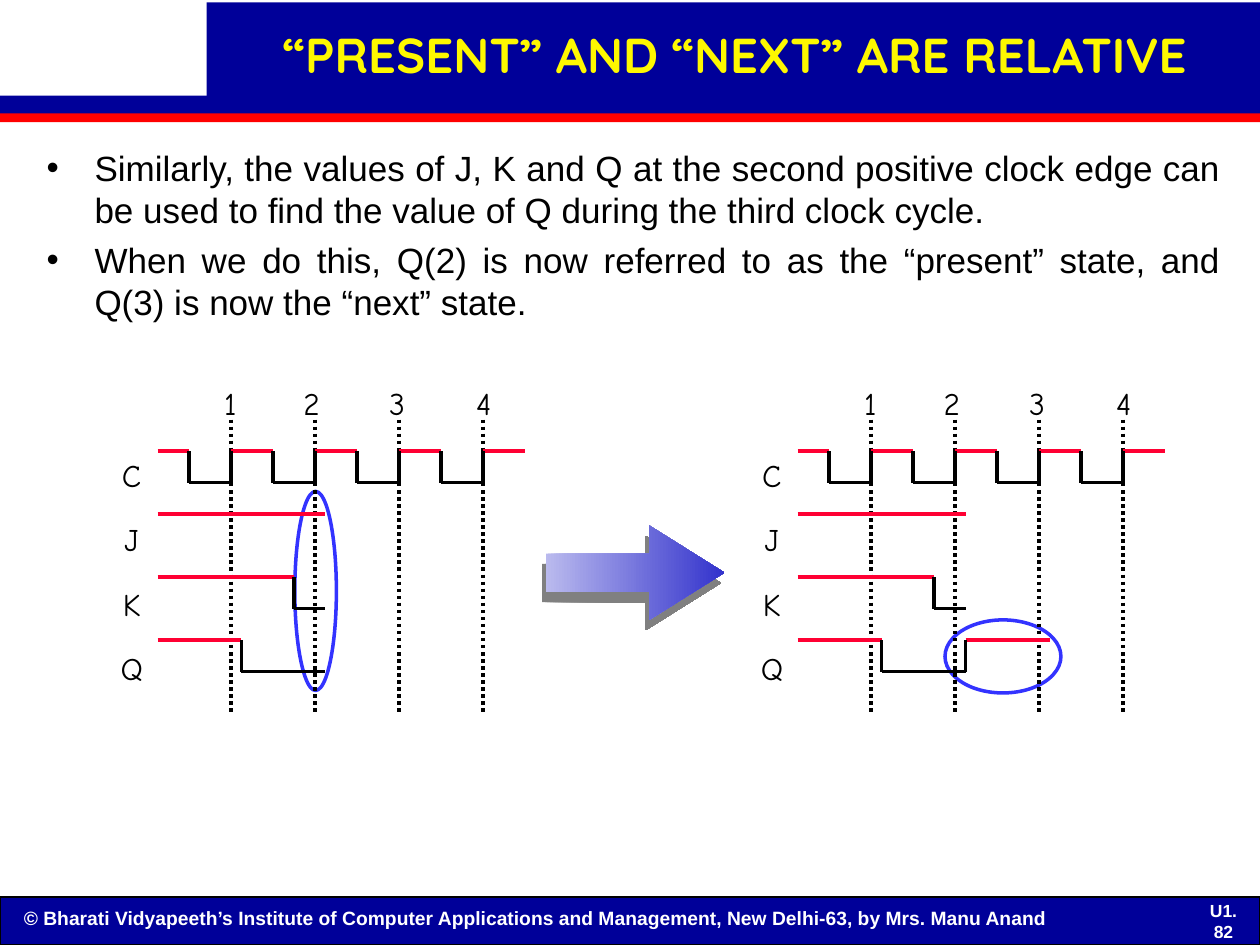
from dataclasses import dataclass

from lxml import etree
from pptx import Presentation
from pptx import util as u
from pptx.dml.color import RGBColor
from pptx.enum import dml, shapes, text
from pptx.oxml.ns import qn


@dataclass(frozen=True)
class Theme:
    navy: str = "000099"
    red: str = "FF0000"
    yellow: str = "FEF800"
    white: str = "FFFFFF"
    black: str = "000000"
    high: str = "FF0033"
    ring: str = "3333FF"
    arrow: tuple = ("BABAEE", "3333CC")
    shadow: str = "808080"
    title_font: str = "Quicksand"
    body_font: str = "Arial"
    label_font: str = "Comic Neue"
    title_size: int = 28
    body_size: int = 20
    label_size: int = 18
    footer_size: int = 11
    page_size: int = 10
    stroke: int = 2


THEME = Theme()
UNIT = 1 / 12  # horizontal step of the timing diagrams, in inches
SWING = 0.25   # height of a signal step
ROW = 0.5      # distance between signals

# Each signal: (start step, level) pairs, closed by its end step
CLOCK = ([(0, 1)] + [(step, i % 2) for i, step in enumerate(range(3, 35, 4))], 35)
J = ([(0, 1)], 16)
K = ([(0, 1), (13, 0)], 16)
Q_PRESENT = ([(0, 1), (8, 0)], 16)
Q_NEXT = ([(0, 1), (8, 0), (16, 1)], 24)


def rgb(color):
    return RGBColor.from_string(color)


def inches(*lengths):
    return [u.Inches(length) for length in lengths]


def apply(target, values):
    for name, value in values.items():
        setattr(target, name, value)


def sub(parent, tag, **attributes):
    return etree.SubElement(parent, qn(tag), attributes)


def add_block(slide, kind, box, fill=None, line=None, width=THEME.stroke):
    block = slide.shapes.add_shape(kind, *inches(*box))
    block.shadow.inherit = False
    if fill:
        block.fill.solid()
        block.fill.fore_color.rgb = rgb(fill)
    else:
        block.fill.background()
    if line:
        block.line.color.rgb = rgb(line)
        block.line.width = u.Pt(width)
    else:
        block.line.fill.background()
    return block


def add_line(slide, start, end, color, dash=None):
    line = slide.shapes.add_connector(shapes.MSO_CONNECTOR.STRAIGHT, *inches(*start, *end))
    line.line.color.rgb = rgb(color)
    line.line.width = u.Pt(THEME.stroke)
    if dash:
        line.line.dash_style = dash
    sub(line._element.spPr, "a:effectLst")


def write(paragraph, words, font, size, color, bold=False, **layout):
    apply(paragraph, layout)
    run = paragraph.add_run()
    run.text = words
    apply(run.font, {"name": font, "size": u.Pt(size), "bold": bold})
    run.font.color.rgb = rgb(color)


def add_text(slide, box, wrap=True, anchor=text.MSO_ANCHOR.TOP):
    frame = slide.shapes.add_textbox(*inches(*box)).text_frame
    apply(frame, {"word_wrap": wrap, "vertical_anchor": anchor})
    return frame


def place(placeholder, box):
    apply(placeholder, dict(zip(("left", "top", "width", "height"), inches(*box))))
    return placeholder.text_frame


def header(slide, box):
    left, top, width, _ = box
    rect = shapes.MSO_SHAPE.RECTANGLE
    add_block(slide, rect, (left, top + 0.76, width, 0.16), THEME.navy)
    add_block(slide, rect, (left, top + 0.9, width, 0.07), THEME.red)
    add_block(slide, rect, (left + 1.64, top + 0.02, width - 1.64, 0.8), THEME.navy)

    title = slide.shapes.title
    frame = place(title, (left + 1.63, top + 0.06, width - 1.6, 0.8))
    apply(frame, {"vertical_anchor": text.MSO_ANCHOR.MIDDLE, "word_wrap": True,
                  "margin_left": u.Inches(0.07), "margin_right": u.Inches(0.07),
                  "margin_top": u.Inches(0.03), "margin_bottom": u.Inches(0.03)})
    write(frame.paragraphs[0], "“PRESENT” AND “NEXT” ARE RELATIVE", THEME.title_font,
          THEME.title_size, THEME.yellow, True,
          alignment=text.PP_ALIGN.CENTER, line_spacing=0.88)
    slide.shapes._spTree.append(title._element)  # bring the title above its band


def bullets(slide, box, items):
    frame = place(slide.placeholders[1], box)
    for i, item in enumerate(items):
        paragraph = frame.add_paragraph() if i else frame.paragraphs[0]
        props = paragraph._p.get_or_add_pPr()
        props.set("marL", str(u.Inches(0.38)))
        props.set("indent", str(-u.Inches(0.38)))
        sub(sub(props, "a:buClr"), "a:srgbClr", val=THEME.black)
        sub(props, "a:buChar", char="•")
        write(paragraph, item, THEME.body_font, THEME.body_size, THEME.black,
              alignment=text.PP_ALIGN.JUSTIFY, space_before=u.Pt(5 if i else 0))


def signal(slide, left, top, trace):
    steps, end = trace
    stops = [start for start, _ in steps[1:]] + [end]
    for i, ((start, level), stop) in enumerate(zip(steps, stops)):
        x, y = left + start * UNIT, top + (1 - level) * SWING
        add_line(slide, (x, y), (left + stop * UNIT, y),
                 THEME.high if level else THEME.black)
        if i:
            add_line(slide, (x, top + SWING), (x, top), THEME.black)


def timing_diagram(slide, box, traces, ring):
    left, top, _, height = box
    wave_left = left + 0.39
    add_block(slide, shapes.MSO_SHAPE.OVAL, ring, line=THEME.ring)

    # Signal names
    names = add_text(slide, (left, top + 0.42, 0.37, 2.08), wrap=False)
    for i, name in enumerate("CJKQ"):
        paragraph = names.add_paragraph() if i else names.paragraphs[0]
        write(paragraph, name, THEME.label_font, THEME.label_size, THEME.black,
              alignment=text.PP_ALIGN.CENTER, line_spacing=1.7 if i else 1.5)

    # Clock edges and their numbers
    for edge in range(4):
        x = wave_left + (7 + 8 * edge) * UNIT
        add_line(slide, (x, top + 0.33), (x, top + height), THEME.black,
                 dml.MSO_LINE.ROUND_DOT)
    numbers = add_text(slide, (left + 0.82, top, 2.32, 0.4), wrap=False).paragraphs[0]
    tabs = sub(numbers._p.get_or_add_pPr(), "a:tabLst")
    for position in (0.63, 1.31, 2):
        sub(tabs, "a:tab", pos=str(u.Inches(position)), algn="l")
    write(numbers, "1\t2\t3\t4", THEME.label_font, THEME.label_size, THEME.black)

    for row, trace in enumerate(traces):
        signal(slide, wave_left, top + 0.58 + row * ROW, trace)


def transition_arrow(slide, box):
    arrow = add_block(slide, shapes.MSO_SHAPE.RIGHT_ARROW, box)
    arrow.adjustments[0], arrow.adjustments[1] = 0.405, 0.796
    arrow.fill.gradient()
    arrow.fill.gradient_angle = 0
    for stop, color in zip(arrow.fill.gradient_stops, THEME.arrow):
        stop.color.rgb = rgb(color)
    effects = arrow._element.spPr.find(qn("a:effectLst"))
    shadow = sub(effects, "a:outerShdw", dist=str(u.Pt(6.3)), dir=str(109 * 60000),
                 algn="ctr", rotWithShape="0")
    sub(shadow, "a:srgbClr", val=THEME.shadow)


def footer(slide, box):
    left, top, width, _ = box
    add_block(slide, shapes.MSO_SHAPE.RECTANGLE, box, THEME.navy, THEME.black, 0.75)
    credit = add_text(slide, (left + 0.09, top + 0.02, 9.18, 0.29))
    write(credit.paragraphs[0],
          "© Bharati Vidyapeeth’s Institute of Computer Applications and Management, "
          "New Delhi-63, by Mrs. Manu Anand",
          THEME.body_font, THEME.footer_size, THEME.white, True)
    page = add_text(slide, (left + width - 0.55, top + 0.07, 0.52, 0.24),
                    anchor=text.MSO_ANCHOR.MIDDLE)
    write(page.paragraphs[0], "U1. 82", THEME.body_font, THEME.page_size, THEME.white,
          True, alignment=text.PP_ALIGN.CENTER)


def main():
    deck = Presentation()
    deck.slide_width, deck.slide_height = inches(10, 7.5)
    slide = deck.slides.add_slide(deck.slide_layouts[1])

    footer(slide, (0, 7.12, 10, 0.38))
    header(slide, (0, 0, 10, 0.97))
    bullets(slide, (0.27, 1.11, 9.52, 5.71), [
        "Similarly, the values of J, K and Q at the second positive clock edge can be "
        "used to find the value of Q during the third clock cycle.",
        "When we do this, Q(2) is now referred to as the “present” state, and Q(3) is "
        "now the “next” state.",
    ])
    timing_diagram(slide, (0.86, 3, 3.31, 2.67), (CLOCK, J, K, Q_PRESENT),
                   ring=(2.34, 3.9, 0.33, 1.58))
    transition_arrow(slide, (4.33, 4.17, 1.42, 0.75))
    timing_diagram(slide, (5.94, 3, 3.31, 2.67), (CLOCK, J, K, Q_NEXT),
                   ring=(7.5, 4.92, 0.92, 0.58))
    deck.save("out.pptx")


if __name__ == "__main__":
    main()
